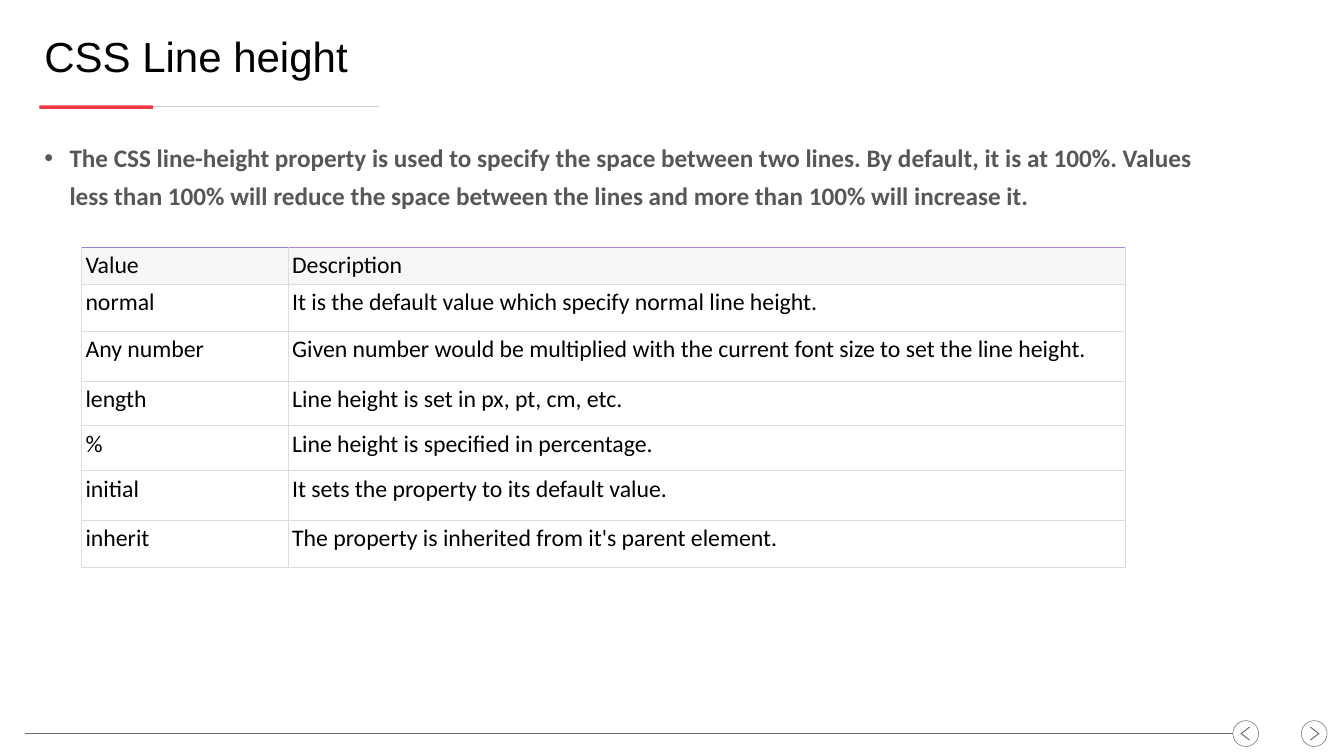
from dataclasses import dataclass

from lxml import etree
from pptx import Presentation
from pptx.dml.color import RGBColor
from pptx.enum.shapes import MSO_CONNECTOR, MSO_SHAPE
from pptx.enum.text import MSO_ANCHOR, MSO_AUTO_SIZE, PP_ALIGN
from pptx.oxml.ns import qn
from pptx.util import Cm, Pt

STRAIGHT = MSO_CONNECTOR.STRAIGHT
RECTANGLE, OVAL, CHEVRON = MSO_SHAPE.RECTANGLE, MSO_SHAPE.OVAL, MSO_SHAPE.CHEVRON
TOP, MIDDLE, BOTTOM = MSO_ANCHOR.TOP, MSO_ANCHOR.MIDDLE, MSO_ANCHOR.BOTTOM
LEFT = PP_ALIGN.LEFT
NO_AUTOFIT = MSO_AUTO_SIZE.NONE


@dataclass(frozen=True)
class Theme:
    ink: str = "000000"
    body: str = "575757"
    accent: str = "F23A43"
    rule: str = "CBD0D7"
    navigation: str = "6C6C6C"
    header_fill: str = "F7F7F7"
    cell_fill: str = "FFFFFF"
    border: str = "DDDDDD"
    header_tops: tuple[str, str] = ("9085D9", "B086D9")
    title_font: str = "Arial"
    body_font: str = "Calibri"
    title_size: int = 60
    body_size: int = 36
    table_size: int = 34
    thin: float = 0.75


@dataclass(frozen=True)
class Rule:
    left: float
    right: float
    y: float
    color: str
    width: float


@dataclass(frozen=True)
class NavButton:
    left: float
    backward: bool


@dataclass(frozen=True)
class PropertyRow:
    value: str
    description: str
    height: float


THEME = Theme()
MARGIN = 1.98
BUTTON_TOP, BUTTON_SIZE = 36.32, 1.3
ARROW_WIDTH, ARROW_HEIGHT, ARROW_SHIFT = 0.51, 0.66, 0.02
PREVIOUS = NavButton(62.13, True)
NEXT = NavButton(65.58, False)

RULES = (
    Rule(MARGIN, 19.1, 5.38, THEME.rule, 1.5),
    Rule(1.24, PREVIOUS.left, BUTTON_TOP + BUTTON_SIZE / 2, THEME.navigation, THEME.thin),
)
COLUMN_WIDTHS = (10.41, 42.21)
ROWS = (
    PropertyRow("Value", "Description", 1.83),
    PropertyRow("normal", "It is the default value which specify normal line height.", 2.39),
    PropertyRow(
        "Any number",
        "Given number would be multiplied with the current font size to set the line height.",
        2.51,
    ),
    PropertyRow("length", "Line height is set in px, pt, cm, etc.", 2.24),
    PropertyRow("%", "Line height is specified in percentage.", 2.26),
    PropertyRow("initial", "It sets the property to its default value.", 2.49),
    PropertyRow("inherit", "The property is inherited from it's parent element.", 2.39),
)


def rgb(color: str) -> RGBColor:
    return RGBColor.from_string(color)


def place(shape, left: float, top: float, width: float, height: float) -> None:
    shape.left, shape.top = Cm(left), Cm(top)
    shape.width, shape.height = Cm(width), Cm(height)


def write(frame, text: str, font: str, size: int, color: str, bold: bool = False):
    frame.text = text
    paragraph = frame.paragraphs[0]
    paragraph.alignment = LEFT
    for run in paragraph.runs:
        run.font.name = font
        run.font.size = Pt(size)
        run.font.bold = bold
        run.font.color.rgb = rgb(color)
    return paragraph


def fill_shape(shape, color: str) -> None:
    shape.shadow.inherit = False
    shape.fill.solid()
    shape.fill.fore_color.rgb = rgb(color)
    shape.line.fill.background()


def draw_rule(slide, rule: Rule) -> None:
    line = slide.shapes.add_connector(
        STRAIGHT, Cm(rule.left), Cm(rule.y), Cm(rule.right), Cm(rule.y)
    )
    line.line.color.rgb = rgb(rule.color)
    line.line.width = Pt(rule.width)
    etree.SubElement(line._element.spPr, qn("a:effectLst"))


def draw_button(slide, button: NavButton) -> None:
    group = slide.shapes.add_group_shape()
    ring = group.shapes.add_shape(
        OVAL, Cm(button.left), Cm(BUTTON_TOP), Cm(BUTTON_SIZE), Cm(BUTTON_SIZE)
    )
    ring.shadow.inherit = False
    ring.fill.background()
    ring.line.color.rgb = rgb(THEME.navigation)
    ring.line.width = Pt(THEME.thin)
    shift = -ARROW_SHIFT if button.backward else ARROW_SHIFT
    arrow = group.shapes.add_shape(
        CHEVRON,
        Cm(button.left + (BUTTON_SIZE - ARROW_WIDTH) / 2 + shift),
        Cm(BUTTON_TOP + (BUTTON_SIZE - ARROW_HEIGHT) / 2),
        Cm(ARROW_WIDTH),
        Cm(ARROW_HEIGHT),
    )
    arrow.adjustments[0] = 0.84
    fill_shape(arrow, THEME.navigation)
    if button.backward:
        arrow._element.spPr.xfrm.set("flipH", "1")


def set_borders(cell, top_color: str) -> None:
    properties = cell._tc.get_or_add_tcPr()
    for side in ("L", "R", "T", "B"):
        border = etree.SubElement(properties, qn(f"a:ln{side}"), w=str(Pt(THEME.thin)))
        solid = etree.SubElement(border, qn("a:solidFill"))
        color = top_color if side == "T" else THEME.border
        etree.SubElement(solid, qn("a:srgbClr"), val=color)


def draw_table(slide) -> None:
    table = slide.shapes.add_table(
        len(ROWS), len(COLUMN_WIDTHS), Cm(4.11), Cm(12.45),
        Cm(sum(COLUMN_WIDTHS)), Cm(sum(row.height for row in ROWS)),
    ).table
    table.first_row = table.horz_banding = False
    for column, width in zip(table.columns, COLUMN_WIDTHS):
        column.width = Cm(width)
    for row_index, row in enumerate(ROWS):
        table.rows[row_index].height = Cm(row.height)
        header = row_index == 0
        for column_index, text in enumerate((row.value, row.description)):
            cell = table.cell(row_index, column_index)
            set_borders(cell, THEME.header_tops[column_index] if header else THEME.border)
            cell.fill.solid()
            cell.fill.fore_color.rgb = rgb(THEME.header_fill if header else THEME.cell_fill)
            cell.margin_left = cell.margin_right = Cm(0.2)
            cell.margin_top = cell.margin_bottom = Cm(0.2)
            cell.vertical_anchor = BOTTOM if header else TOP
            write(cell.text_frame, text, THEME.body_font, THEME.table_size, THEME.ink)


def fill_placeholders(slide) -> None:
    title, summary = slide.shapes.title, slide.placeholders[1]
    place(title, MARGIN, 1.5, 63.63, 2.64)
    title.text_frame.auto_size = NO_AUTOFIT
    title.text_frame.vertical_anchor = MIDDLE
    heading = write(
        title.text_frame, "CSS Line height", THEME.title_font, THEME.title_size, THEME.ink
    )
    heading.space_before = heading.space_after = Pt(12)

    place(summary, MARGIN, 6.68, 59.26, 27.64)
    summary.text_frame.auto_size = NO_AUTOFIT
    point = write(
        summary.text_frame,
        "The CSS line-height property is used to specify the space between two lines. "
        "By default, it is at 100%. Values less than 100% will reduce the space between "
        "the lines and more than 100% will increase it.",
        THEME.body_font, THEME.body_size, THEME.body, bold=True,
    )
    point.line_spacing = 1.25
    point.space_after = Pt(12)
    indent = Cm(1.27)
    properties = point._p.get_or_add_pPr()
    properties.set("marL", str(indent))
    properties.set("indent", str(-indent))


presentation = Presentation()
presentation.slide_width, presentation.slide_height = Cm(67.73), Cm(38.1)
slide = presentation.slides.add_slide(presentation.slide_layouts[1])
fill_placeholders(slide)
for rule in RULES:
    draw_rule(slide, rule)
accent = slide.shapes.add_shape(RECTANGLE, Cm(MARGIN), Cm(5.31), Cm(5.72), Cm(0.18))
fill_shape(accent, THEME.accent)
for button in (NEXT, PREVIOUS):
    draw_button(slide, button)
draw_table(slide)
presentation.save("out.pptx")
